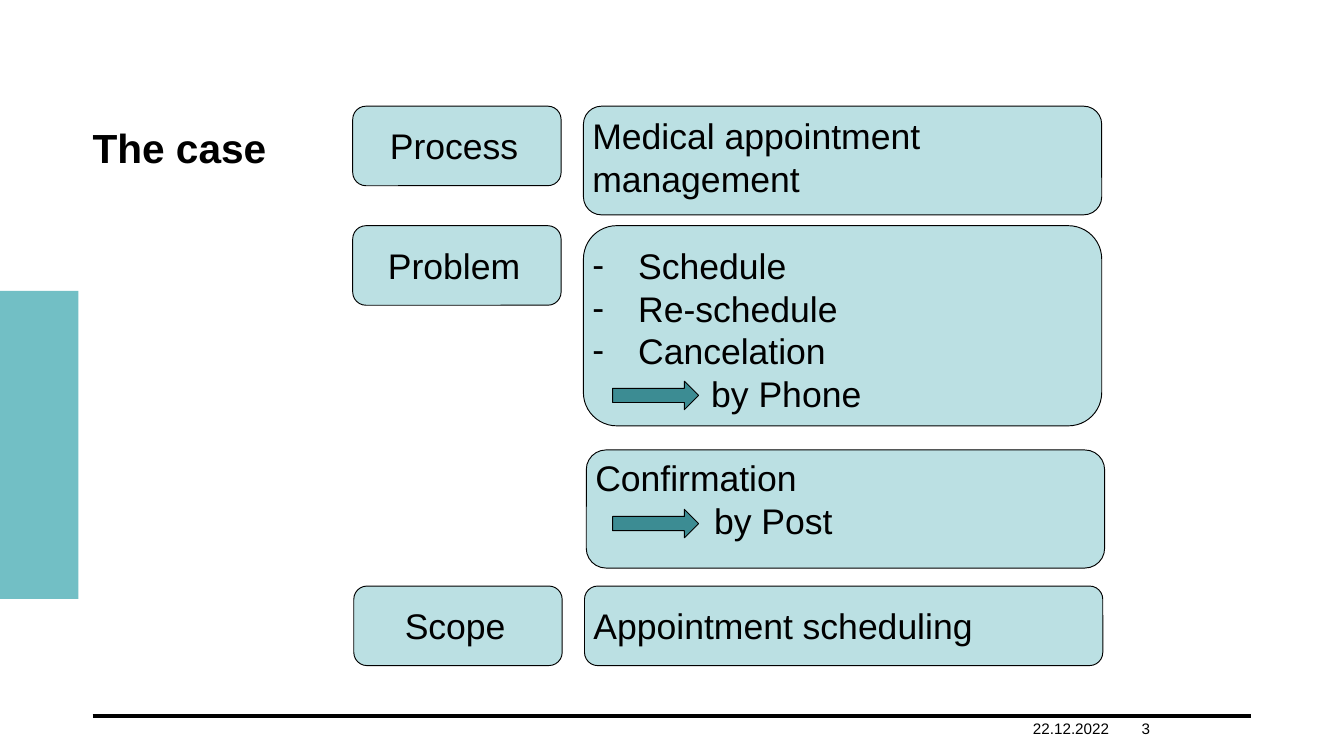
from lxml import etree
from pptx import Presentation
from pptx.dml.color import RGBColor
from pptx.enum.shapes import MSO_CONNECTOR, MSO_SHAPE
from pptx.enum.text import MSO_ANCHOR, MSO_AUTO_SIZE, PP_ALIGN
from pptx.oxml.ns import qn
from pptx.util import Cm, Pt

ROUND = MSO_SHAPE.ROUNDED_RECTANGLE
ARROW = MSO_SHAPE.RIGHT_ARROW
RECT = MSO_SHAPE.RECTANGLE
STRAIGHT = MSO_CONNECTOR.STRAIGHT
TOP, BOTTOM = MSO_ANCHOR.TOP, MSO_ANCHOR.BOTTOM
LEFT, CENTER = PP_ALIGN.LEFT, PP_ALIGN.CENTER
FIXED = MSO_AUTO_SIZE.NONE

BLACK = RGBColor(0x00, 0x00, 0x00)
PALE = RGBColor(0xBB, 0xE0, 0xE3)
TEAL = RGBColor(0x72, 0xBF, 0xC5)
DARK = RGBColor(0x3C, 0x8C, 0x93)

FONT = "Arial"
LABEL_X, LABEL_W, LABEL_H = 9.8, 5.79, 2.21
CARD_X, CARD_W, TEXT_W = 16.21, 14.4, 14.27
PAD_X, PAD_Y, LINE_H = 0.25, 0.13, 1.19
HANG, STEP = 1.27, 3.3


def place(item, x, y, w, h):
    item.left, item.top, item.width, item.height = Cm(x), Cm(y), Cm(w), Cm(h)


def indent(para, left, mark):
    props = para._p.get_or_add_pPr()
    props.set("marL", str(Cm(left)))
    props.set("indent", str(-Cm(left) if mark else 0))
    if mark:
        etree.SubElement(props, qn("a:buChar")).set("char", mark)
    else:
        etree.SubElement(props, qn("a:buNone"))


def write(item, lines, size=28, bold=False, align=LEFT, anchor=TOP,
          pads=(PAD_X, PAD_Y), pitch=Pt(33.6)):
    frame = item.text_frame
    frame.word_wrap = True
    frame.auto_size = FIXED
    frame.vertical_anchor = anchor
    frame.margin_left = frame.margin_right = Cm(pads[0])
    frame.margin_top = frame.margin_bottom = Cm(pads[1])
    for i, (text, left, mark) in enumerate(lines):
        para = frame.add_paragraph() if i else frame.paragraphs[0]
        para.alignment = align
        para.space_before = para.space_after = Pt(0)
        para.line_spacing = pitch
        indent(para, left, mark)
        run = para.add_run()
        run.text = text
        run.font.name = FONT
        run.font.size = Pt(size)
        run.font.bold = bold
        run.font.color.rgb = BLACK


def add_text(slide, x, y, w, h, lines, **style):
    box = slide.shapes.add_textbox(Cm(x), Cm(y), Cm(w), Cm(h))
    write(box, lines, **style)


def add_shape(slide, kind, x, y, w, h, fill, edge=True):
    shape = slide.shapes.add_shape(kind, Cm(x), Cm(y), Cm(w), Cm(h))
    shape.shadow.inherit = False
    shape.fill.solid()
    shape.fill.fore_color.rgb = fill
    if edge:
        shape.line.color.rgb = BLACK
        shape.line.width = Pt(0.75)
    else:
        shape.line.fill.background()


def add_label(slide, x, y, text):
    add_shape(slide, ROUND, x, y, LABEL_W, LABEL_H, PALE)
    add_text(slide, x - 0.08, y + 0.37, LABEL_W, LINE_H + 2 * PAD_Y,
             [(text, 0, None)], align=CENTER)


def add_card(slide, x, y, h, gap, rows, lines):
    add_shape(slide, ROUND, x, y, CARD_W, h, PALE)
    add_text(slide, x, y + gap, TEXT_W, rows * LINE_H + 2 * PAD_Y, lines)


def add_rule(slide, x, y, w):
    rule = slide.shapes.add_connector(STRAIGHT, Cm(x), Cm(y), Cm(x + w), Cm(y))
    rule.line.color.rgb = BLACK
    rule.line.width = Pt(3)
    etree.SubElement(rule._element.spPr, qn("a:effectLst"))


def add_list(slide, body, y, h):
    add_shape(slide, ROUND, CARD_X, y, CARD_W, h, PALE)
    place(body, CARD_X, y + 0.38, TEXT_W, 4 * LINE_H + 2 * PAD_Y)
    tasks = [(task, HANG, "-") for task in ("Schedule", "Re-schedule", "Cancelation")]
    write(body, tasks + [("by Phone", STEP, None)])
    slide.shapes._spTree.append(body._element)


def main():
    deck = Presentation()
    deck.slide_width, deck.slide_height = Cm(37.34), Cm(21)
    slide = deck.slides.add_slide(deck.slide_layouts[1])
    title, body = slide.placeholders

    add_rule(slide, 2.57, 19.89, 32.18)
    for x, text in ((28.7, "22.12.2022"), (31.72, "3")):
        add_text(slide, x, 19.99, 3.02, 0.51, [(text, 0, None)],
                 size=12, anchor=BOTTOM, pads=(0, 0), pitch=1.0)

    place(title, 2.57, 3.4, 32.18, 1.02)
    write(title, [("The case", 0, None)], size=32, bold=True,
          pads=(0, 0), pitch=1.0)
    add_shape(slide, RECT, -0.08, 8.08, 2.26, 8.56, TEAL, edge=False)

    for x, y, text in ((LABEL_X, 2.95, "Process"), (LABEL_X, 6.27, "Problem"),
                       (LABEL_X + 0.03, 16.28, "Scope")):
        add_label(slide, x, y, text)

    add_card(slide, CARD_X, 2.95, 3.02, 0.1, 2,
             [("Medical appointment management", 0, None)])
    add_list(slide, body, 6.27, 5.56)
    add_card(slide, CARD_X + 0.08, 12.5, 3.28, 0.05, 2,
             [("Confirmation", 0, None), ("by Post", STEP, None)])
    add_card(slide, CARD_X + 0.03, 16.28, LABEL_H, 0.37, 1,
             [("Appointment scheduling", 0, None)])

    for y in (10.59, 14.15):
        add_shape(slide, ARROW, 17.02, y, 2.39, 0.79, DARK)

    deck.save("out.pptx")


if __name__ == "__main__":
    main()
